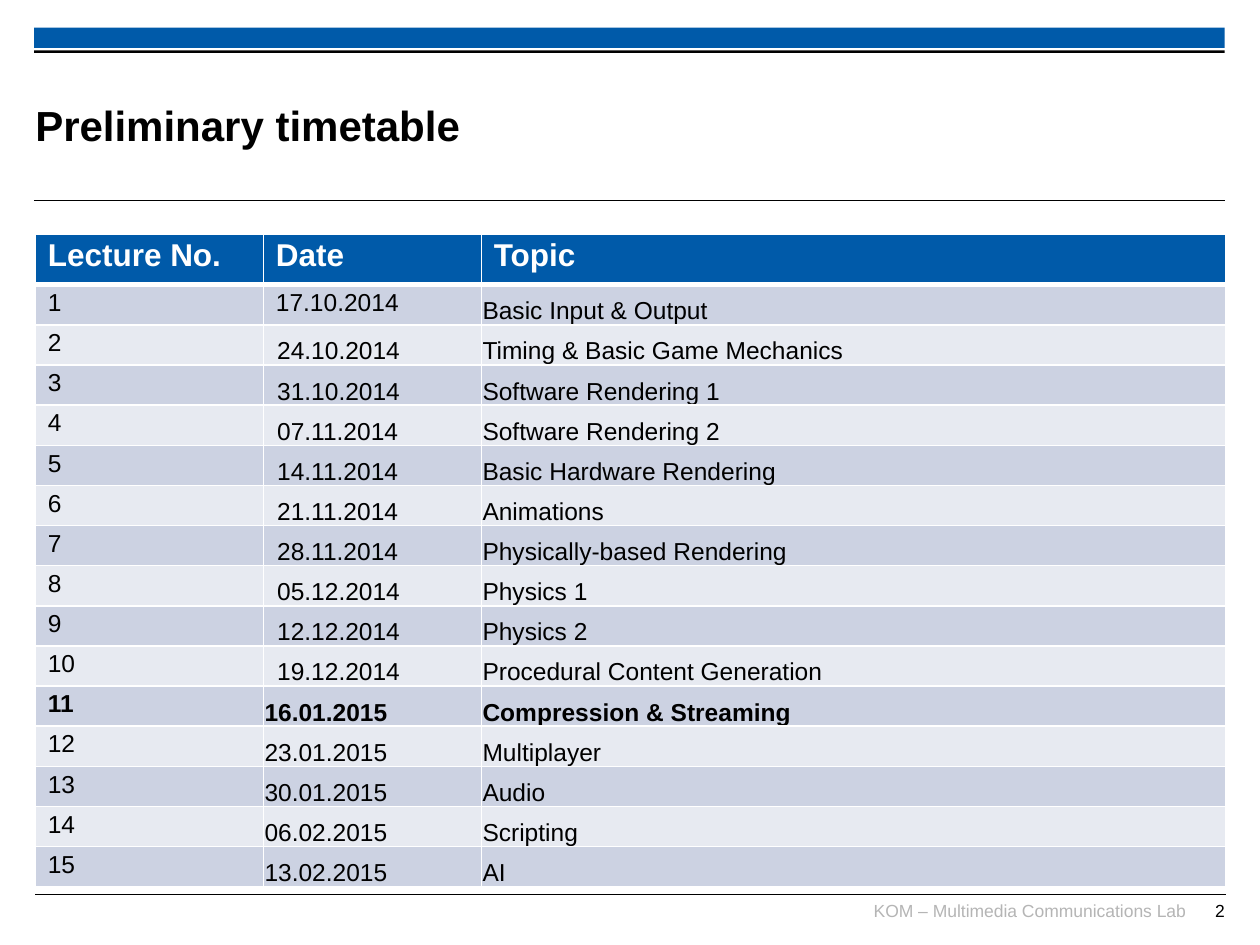
from lxml.etree import SubElement
from pptx import Presentation
from pptx.dml.color import RGBColor
from pptx.enum.shapes import MSO_CONNECTOR, MSO_SHAPE
from pptx.enum.text import MSO_ANCHOR, PP_ALIGN
from pptx.oxml.ns import qn
from pptx.util import Inches, Pt

# Content
TITLE = "Preliminary timetable"
FOOTER = "KOM – Multimedia Communications Lab"
PAGE_NUMBER = "2"
HEADINGS = ("Lecture No.", "Date", "Topic")
LECTURES = [
    ("17.10.2014", "Basic Input & Output"),
    ("24.10.2014", "Timing & Basic Game Mechanics"),
    ("31.10.2014", "Software Rendering 1"),
    ("07.11.2014", "Software Rendering 2"),
    ("14.11.2014", "Basic Hardware Rendering"),
    ("21.11.2014", "Animations"),
    ("28.11.2014", "Physically-based Rendering"),
    ("05.12.2014", "Physics 1"),
    ("12.12.2014", "Physics 2"),
    ("19.12.2014", "Procedural Content Generation"),
    ("16.01.2015", "Compression & Streaming"),
    ("23.01.2015", "Multiplayer"),
    ("30.01.2015", "Audio"),
    ("06.02.2015", "Scripting"),
    ("13.02.2015", "AI"),
]
CURRENT_LECTURE = 11
LAST_LECTURE_2014 = 10

THEME = {
    "font": "Arial",
    "blue": "005AA9", "black": "000000", "white": "FFFFFF", "grey": "B5B5B5",
    "bands": ("CCD2E2", "E7EAF1"),
    "title": 24, "heading": 18, "body": 14, "footer": 10,
    "rule": 0.6, "grid": 1, "heading_rule": 3,
}

# Layout, in inches
LEFT, WIDTH = 0.28, 9.45
TABLE_TOP, TABLE_BOTTOM, HEADING_HEIGHT = 1.86, 7.04, 0.4
COLUMN_WIDTHS = (1.81, 1.73, 5.91)
ROW_HEIGHT = (TABLE_BOTTOM - TABLE_TOP - HEADING_HEIGHT) / len(LECTURES)
PADDED, DATE_INDENT, TIGHT = 0.1, 0.11, 0.01


def style(paragraph, size, color, bold=False):
    font = paragraph.font
    font.name, font.size, font.bold = THEME["font"], Pt(size), bold
    font.color.rgb = RGBColor.from_string(color)


def add_bar(slide, top, height, color):
    bar = slide.shapes.add_shape(MSO_SHAPE.RECTANGLE, Inches(0.27), Inches(top),
                                 Inches(WIDTH), Inches(height))
    bar.shadow.inherit = False
    bar.fill.solid()
    bar.fill.fore_color.rgb = RGBColor.from_string(color)
    bar.line.fill.background()


def add_rule(slide, left, top):
    rule = slide.shapes.add_connector(MSO_CONNECTOR.STRAIGHT, Inches(left), Inches(top),
                                      Inches(left + WIDTH), Inches(top))
    rule.line.color.rgb = RGBColor.from_string(THEME["black"])
    rule.line.width = Pt(THEME["rule"])
    SubElement(rule._element.spPr, qn("a:effectLst"))


def add_label(slide, text, box, size, color, align=PP_ALIGN.LEFT,
              anchor=MSO_ANCHOR.TOP, bold=False):
    frame = slide.shapes.add_textbox(*map(Inches, box)).text_frame
    frame.word_wrap = True
    frame.vertical_anchor = anchor
    frame.margin_left = frame.margin_right = frame.margin_top = frame.margin_bottom = 0
    paragraph = frame.paragraphs[0]
    paragraph.text, paragraph.alignment = text, align
    style(paragraph, size, color, bold)


def set_borders(cell, bottom_width):
    properties = cell._tc.get_or_add_tcPr()
    grid = THEME["grid"]
    sides = (("lnL", grid), ("lnR", grid), ("lnT", grid), ("lnB", bottom_width))
    for position, (side, width) in enumerate(sides):
        line = properties.makeelement(qn(f"a:{side}"), {"w": str(Pt(width))})
        fill = SubElement(line, qn("a:solidFill"))
        SubElement(fill, qn("a:srgbClr"), val=THEME["white"])
        properties.insert(position, line)


def fill_cell(cell, text, fill, size, color, bold, left=PADDED, at_bottom=False,
              bottom_width=THEME["grid"]):
    cell.fill.solid()
    cell.fill.fore_color.rgb = RGBColor.from_string(fill)
    cell.margin_left = Inches(left)
    if at_bottom:
        cell.vertical_anchor = MSO_ANCHOR.BOTTOM
        cell.margin_right = cell.margin_top = Inches(TIGHT)
        cell.margin_bottom = 0
    paragraph = cell.text_frame.paragraphs[0]
    paragraph.text, paragraph.line_spacing = text, 0.93
    style(paragraph, size, color, bold)
    set_borders(cell, bottom_width)


def add_timetable(slide):
    table = slide.shapes.add_table(
        len(LECTURES) + 1, len(HEADINGS), Inches(LEFT), Inches(TABLE_TOP),
        Inches(WIDTH), Inches(TABLE_BOTTOM - TABLE_TOP)).table
    for column, width in zip(table.columns, COLUMN_WIDTHS):
        column.width = Inches(width)
    for row in table.rows:
        row.height = Inches(ROW_HEIGHT)
    table.rows[0].height = Inches(HEADING_HEIGHT)

    for column, heading in enumerate(HEADINGS):
        fill_cell(table.cell(0, column), heading, THEME["blue"], THEME["heading"],
                  THEME["white"], True, bottom_width=THEME["heading_rule"])

    for number, (date, topic) in enumerate(LECTURES, start=1):
        look = (THEME["bands"][(number - 1) % 2], THEME["body"], THEME["black"],
                number == CURRENT_LECTURE)
        first = number == 1
        if first:
            date_left = PADDED
        else:
            date_left = DATE_INDENT if number <= LAST_LECTURE_2014 else TIGHT
        fill_cell(table.cell(number, 0), str(number), *look)
        fill_cell(table.cell(number, 1), date, *look, left=date_left, at_bottom=not first)
        fill_cell(table.cell(number, 2), topic, *look, left=TIGHT, at_bottom=True)


def main():
    deck = Presentation()
    deck.slide_width, deck.slide_height = Inches(10), Inches(7.5)
    slide = deck.slides.add_slide(deck.slide_layouts[6])

    # Frame of the page
    add_rule(slide, 0.28, 7.1)
    add_bar(slide, 0.22, 0.16, THEME["blue"])
    add_rule(slide, 0.27, 1.59)
    add_bar(slide, 0.4, 0.02, THEME["black"])

    # Footer
    add_label(slide, FOOTER, (6.81, 7.14, 2.6, 0.25), THEME["footer"], THEME["grey"],
              PP_ALIGN.RIGHT)
    add_label(slide, PAGE_NUMBER, (9.29, 7.14, 0.43, 0.24), THEME["footer"],
              THEME["black"], PP_ALIGN.RIGHT)

    # Title and timetable
    add_label(slide, TITLE, (LEFT, 0.53, 7.52, 0.92), THEME["title"], THEME["black"],
              anchor=MSO_ANCHOR.MIDDLE, bold=True)
    add_timetable(slide)

    deck.save("out.pptx")


if __name__ == "__main__":
    main()
